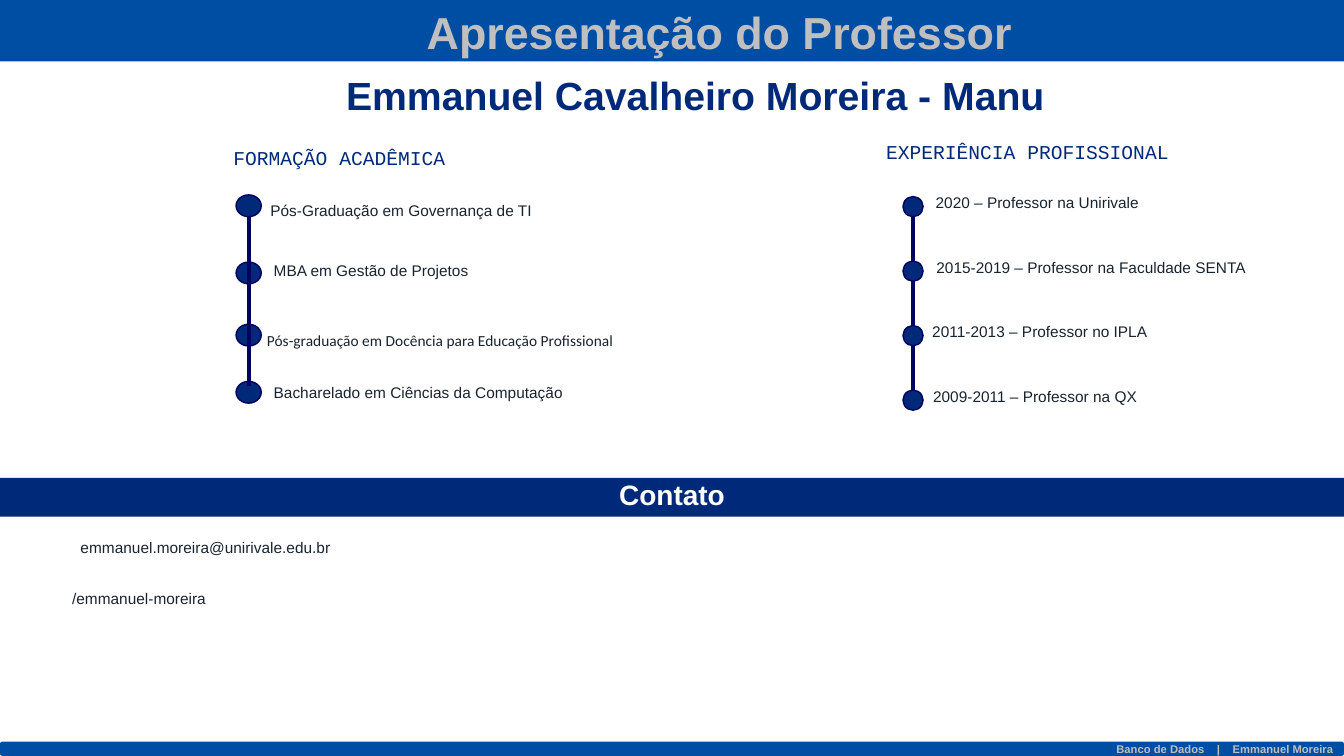
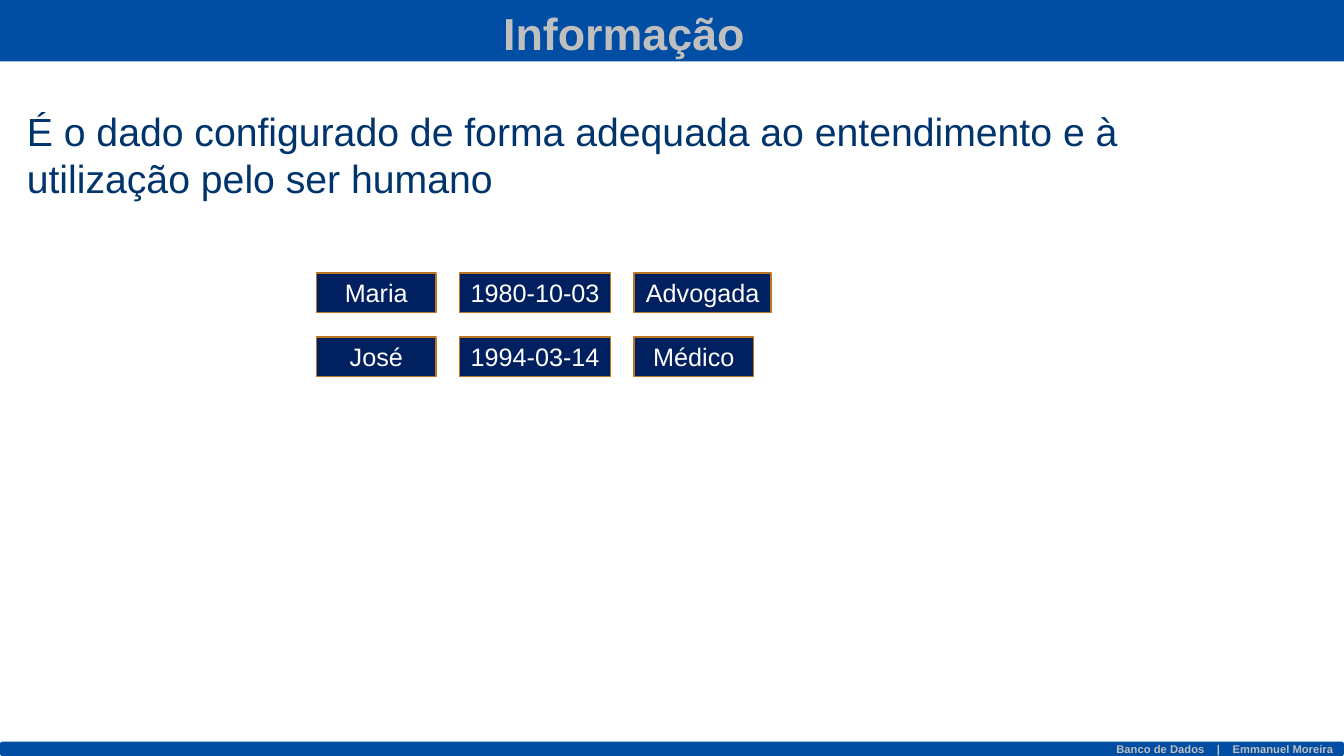
"""Build two slides introducing the teacher and the concept of information."""
from dataclasses import dataclass, field
from typing import Any

from lxml.etree import SubElement
from pptx import Presentation
from pptx.dml.color import RGBColor
from pptx.enum.shapes import MSO_CONNECTOR, MSO_SHAPE
from pptx.enum.text import MSO_ANCHOR, MSO_AUTO_SIZE, PP_ALIGN
from pptx.oxml.ns import qn
from pptx.presentation import Presentation as Deck
from pptx.shapes.autoshape import Shape
from pptx.slide import Slide
from pptx.util import Inches, Pt

WIDTH, HEIGHT = Inches(40 / 3), Inches(7.5)
COLUMNS, ROWS = 160, 90

BAND_BLUE = RGBColor(0x00, 0x4E, 0xA3)
NAVY = RGBColor(0x00, 0x29, 0x7A)
LINE_NAVY = RGBColor(0x02, 0x02, 0x5E)
BODY_BLUE = RGBColor(0x00, 0x34, 0x6D)
BOX_NAVY = RGBColor(0x00, 0x20, 0x60)
BOX_BORDER = RGBColor(0xBD, 0x75, 0x21)
INK = RGBColor(0x19, 0x23, 0x2F)
SILVER = RGBColor(0xBF, 0xBF, 0xBF)
WHITE = RGBColor(0xFF, 0xFF, 0xFF)


@dataclass(frozen=True)
class Area:
    left: float
    top: float
    width: float
    height: float

    def lengths(self) -> dict[str, int]:
        return {
            "left": across(self.left),
            "top": down(self.top),
            "width": across(self.width),
            "height": down(self.height),
        }


@dataclass(frozen=True)
class Style:
    size: float
    color: RGBColor
    bold: bool = False
    name: str = "Arial"
    paragraph: dict[str, Any] = field(default_factory=dict)
    frame: dict[str, Any] = field(default_factory=dict)


@dataclass(frozen=True)
class Entry:
    text: str
    dot_top: float
    label_left: float
    label_top: float
    style: Style


@dataclass(frozen=True)
class Timeline:
    heading: str
    heading_area: Area
    dot_left: float
    dot_width: float
    dot_height: float
    line_top: float
    line_bottom: float
    line_in_front: bool
    entries: list[Entry]


@dataclass(frozen=True)
class Cell:
    text: str
    width: float


LEFT = {"alignment": PP_ALIGN.LEFT}
CENTER = {"alignment": PP_ALIGN.CENTER}
MIDDLE = {"vertical_anchor": MSO_ANCHOR.MIDDLE}
TITLE = Style(32, SILVER, True, paragraph=LEFT, frame={"word_wrap": False})
SUBTITLE = Style(28, NAVY, True, paragraph=LEFT | {"line_spacing": 0.9, "space_before": Pt(10)})
DEFINITION = Style(28, BODY_BLUE, paragraph=LEFT | {"space_before": Pt(0)})
FOOTER = Style(8, SILVER, True, paragraph={"alignment": PP_ALIGN.RIGHT}, frame=MIDDLE)
HEADING = Style(14, NAVY, name="Courier New")
LABEL = Style(11, INK)
LOOSE_LABEL = Style(11, INK, name="Calibri", paragraph={"line_spacing": 1.5})
BAND = Style(20, WHITE, True, paragraph=CENTER | {"line_spacing": 0.9},
             frame={"vertical_anchor": MSO_ANCHOR.BOTTOM})
CELL = Style(18, WHITE, paragraph=CENTER, frame=MIDDLE | {"word_wrap": False})

EDUCATION = Timeline(
    "FORMAÇÃO ACADÊMICA", Area(26.6, 16.8, 45, 4.4), 28.1, 3, 2.6, 25.8, 46, True,
    [
        Entry("Pós-Graduação em Governança de TI", 23.2, 31, 23.3, LABEL),
        Entry("MBA em Gestão de Projetos", 31.2, 31.4, 30.5, LABEL),
        Entry("Pós-graduação em Docência para Educação Profissional",
              38.6, 30.6, 37.7, LOOSE_LABEL),
        Entry("Bacharelado em Ciências da Computação", 45.4, 31.4, 45, LABEL),
    ],
)
JOBS = [
    ("2020 – Professor na Unirivale", 110.2),
    ("2015-2019 – Professor na Faculdade SENTA", 110.3),
    ("2011-2013 – Professor no IPLA", 109.8),
    ("2009-2011 – Professor na QX", 109.9),
]
JOB_STEP = 7.68
EXPERIENCE = Timeline(
    "EXPERIÊNCIA PROFISSIONAL", Area(104.3, 16.1, 45, 5), 107.5, 2.4, 2.4, 24, 48.2, False,
    [
        Entry(text, 23.4 + JOB_STEP * index, left, 22.4 + JOB_STEP * index, LABEL)
        for index, (text, left) in enumerate(JOBS)
    ],
)
CONTACTS = [
    ("emmanuel.moreira@unirivale.edu.br", Area(8.4, 63.5, 40, 3.5)),
    ("/emmanuel-moreira", Area(7.4, 69.5, 40, 3.5)),
]
PEOPLE = [
    [Cell("Maria", 14.2), Cell("1980-10-03", 18), Cell("Advogada", 16.3)],
    [Cell("José", 14.2), Cell("1994-03-14", 18), Cell("Médico", 14.2)],
]


def across(columns: float) -> int:
    return round(WIDTH * columns / COLUMNS)


def down(rows: float) -> int:
    return round(HEIGHT * rows / ROWS)


def apply_format(target: Any, values: dict[str, Any]) -> None:
    for attribute, value in values.items():
        setattr(target, attribute, value)


def write_text(shape: Shape, style: Style, *parts: str) -> None:
    frame = shape.text_frame
    apply_format(frame, {"word_wrap": True, "auto_size": MSO_AUTO_SIZE.NONE,
                         "vertical_anchor": MSO_ANCHOR.TOP} | style.frame)
    paragraph = frame.paragraphs[0]
    apply_format(paragraph, style.paragraph)
    for part in parts:
        run = paragraph.add_run()
        run.text = part
        apply_format(run.font, {"size": Pt(style.size), "bold": style.bold, "name": style.name})
        run.font.color.rgb = style.color


def add_label(slide: Slide, area: Area, text: str, style: Style) -> None:
    write_text(slide.shapes.add_textbox(**area.lengths()), style, text)


def add_filled(slide: Slide, kind: MSO_SHAPE, area: Area, fill: RGBColor,
               border: RGBColor | None = None) -> Shape:
    shape = slide.shapes.add_shape(kind, **area.lengths())
    shape.shadow.inherit = False
    shape.fill.solid()
    shape.fill.fore_color.rgb = fill
    if border is None:
        shape.line.fill.background()
    else:
        shape.line.color.rgb = border
        shape.line.width = Pt(1)
    return shape


def fill_placeholder(shape: Shape, area: Area, text: str, style: Style) -> None:
    apply_format(shape, area.lengths())
    write_text(shape, style, text)
    for properties in shape.element.iter(qn("a:pPr")):
        properties.set("marL", "0")
        properties.set("indent", "0")
        SubElement(properties, qn("a:buNone"))


def add_master_bands(presentation: Deck, slide: Slide) -> None:
    header = add_filled(slide, MSO_SHAPE.RECTANGLE, Area(0, 0, COLUMNS, 7.3), BAND_BLUE)
    footer = add_filled(slide, MSO_SHAPE.ROUNDED_RECTANGLE,
                        Area(0, 88.3, COLUMNS, 1.7), BAND_BLUE)
    write_text(footer, FOOTER, "Banco de Dados", " |", " Emmanuel Moreira")
    separator = list(footer.element.iter(qn("a:rPr")))[1]
    separator.set("spc", "667")
    for number, band in enumerate((header, footer), start=100):
        band.element.nvSpPr.cNvPr.set("id", str(number))
        presentation.slide_master.shapes.element.insert(2, band.element)


def add_timeline_line(slide: Slide, timeline: Timeline) -> None:
    center = across(timeline.dot_left + timeline.dot_width / 2)
    connector = slide.shapes.add_connector(
        MSO_CONNECTOR.STRAIGHT, center, down(timeline.line_top),
        center, down(timeline.line_bottom))
    connector.line.color.rgb = LINE_NAVY
    connector.line.width = Pt(3)
    SubElement(connector.element.spPr, qn("a:effectLst"))


def add_timeline(slide: Slide, timeline: Timeline) -> None:
    add_label(slide, timeline.heading_area, timeline.heading, HEADING)
    if not timeline.line_in_front:
        add_timeline_line(slide, timeline)
    for entry in timeline.entries:
        dot = Area(timeline.dot_left, entry.dot_top, timeline.dot_width, timeline.dot_height)
        add_filled(slide, MSO_SHAPE.OVAL, dot, NAVY, LINE_NAVY)
        label = Area(entry.label_left, entry.label_top, 46, 4)
        add_label(slide, label, entry.text, entry.style)
    if timeline.line_in_front:
        add_timeline_line(slide, timeline)


def build_teacher(slide: Slide) -> None:
    fill_placeholder(slide.shapes.title, Area(49.6, 0, 72.6, 7.7),
                     "Apresentação do Professor", TITLE)
    fill_placeholder(slide.placeholders[1], Area(40, 8.5, 120, 7.6),
                     "Emmanuel Cavalheiro Moreira - Manu", SUBTITLE)
    for timeline in (EXPERIENCE, EDUCATION):
        add_timeline(slide, timeline)
    for text, area in CONTACTS:
        add_label(slide, area, text, LABEL)
    band = add_filled(slide, MSO_SHAPE.RECTANGLE, Area(0, 56.9, COLUMNS, 4.6), NAVY)
    write_text(band, BAND, "Contato")


def build_information(slide: Slide) -> None:
    fill_placeholder(slide.shapes.title, Area(58.7, 0.1, 31.4, 7.7), "Informação", TITLE)
    fill_placeholder(
        slide.placeholders[1], Area(2, 12.2, 150.4, 12.5),
        "É o dado configurado de forma adequada ao entendimento e à utilização pelo ser humano",
        DEFINITION)
    gap = 2.8
    for row, people in enumerate(PEOPLE):
        left = 37.7
        for cell in people:
            area = Area(left, 32.5 + 7.6 * row, cell.width, 4.7)
            box = add_filled(slide, MSO_SHAPE.RECTANGLE, area, BOX_NAVY, BOX_BORDER)
            write_text(box, CELL, cell.text)
            left += cell.width + gap


def main() -> None:
    presentation = Presentation()
    apply_format(presentation, {"slide_width": WIDTH, "slide_height": HEIGHT})
    layout = presentation.slide_layouts[1]
    builders = (build_teacher, build_information)
    slides = [presentation.slides.add_slide(layout) for _ in builders]
    add_master_bands(presentation, slides[0])
    for build, slide in zip(builders, slides):
        build(slide)
    presentation.save("out.pptx")


if __name__ == "__main__":
    main()
